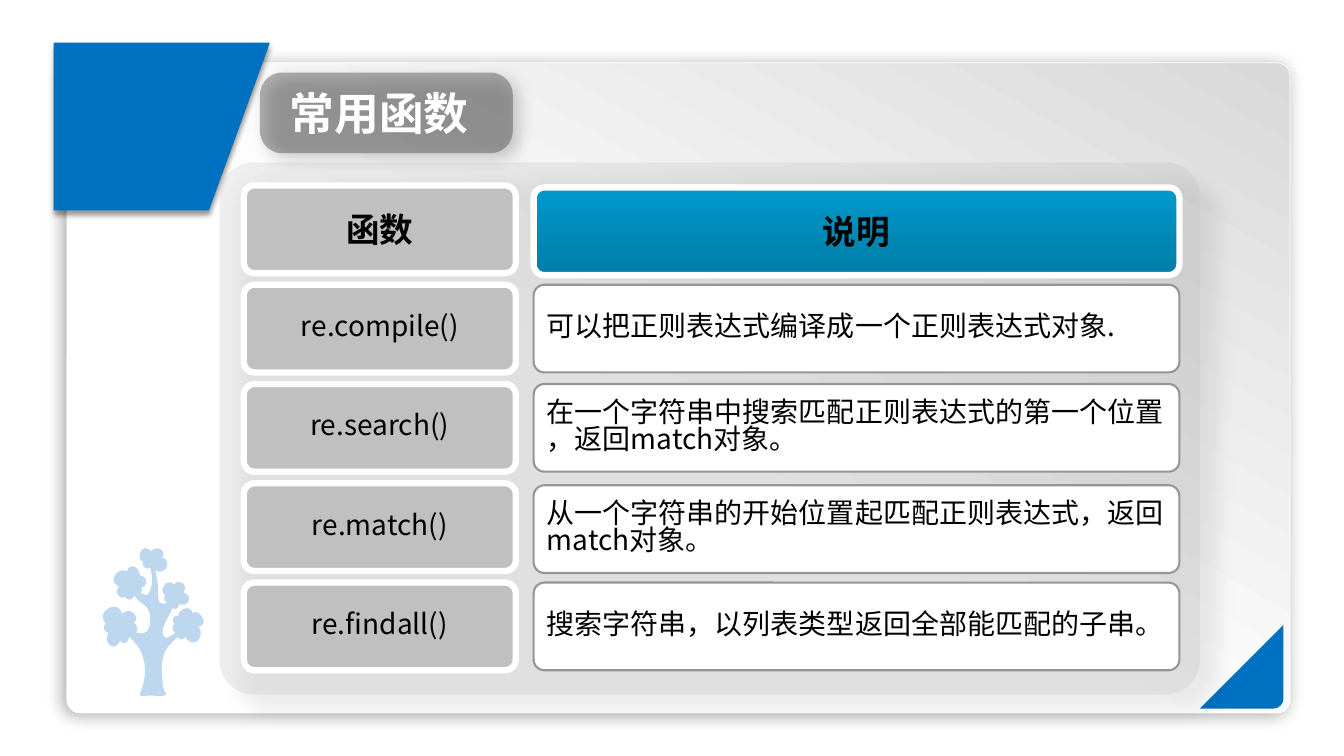
import pptx
import pptx.dml.color
import pptx.enum.shapes
import pptx.enum.text
import pptx.oxml
import pptx.oxml.ns
import pptx.util

RGBColor = pptx.dml.color.RGBColor
Shapes = pptx.enum.shapes.MSO_SHAPE
Anchor = pptx.enum.text.MSO_ANCHOR
Align = pptx.enum.text.PP_ALIGN

WHITE = RGBColor(0xFF, 0xFF, 0xFF)
BLACK = RGBColor(0x00, 0x00, 0x00)
PANEL_GRAY = RGBColor(0xD9, 0xD9, 0xD9)
CELL_GRAY = RGBColor(0xC0, 0xC0, 0xC0)
BORDER_GRAY = RGBColor(0x96, 0x96, 0x96)
TITLE_GRAY = RGBColor(0x40, 0x40, 0x40)
BLUE = RGBColor(0x00, 0x70, 0xC0)
HEADER_TOP = RGBColor(0x00, 0x99, 0xCC)
HEADER_BOTTOM = RGBColor(0x00, 0x7D, 0xA7)
TREE_BLUE = RGBColor(0xBD, 0xD7, 0xEE)

GRID_COLUMNS, GRID_ROWS = 1334, 750
CELL_ROUNDING = 0.123
FIRST_ROW, ROW_STEP, ROW_HEIGHT = 184, 98.5, 87
NAME_COLUMN, NAME_WIDTH = 242, 270
NOTE_COLUMN, NOTE_WIDTH = 529.7, 641

FUNCTIONS = [
    (1, "re.compile()", ["可以把正则表达式编译成一个正则表达式对象."]),
    (2, "re.search()", ["在一个字符串中搜索匹配正则表达式的第一个位置", "，返回match对象。"]),
    (3.02, "re.match()", ["从一个字符串的开始位置起匹配正则表达式，返回", "match对象。"]),
    (4, "re.findall()", ["搜索字符串，以列表类型返回全部能匹配的子串。"]),
]

LEFT_CROWN = [
    (133, 618), (136, 615), (136, 611), (132, 608), (129, 605), (124, 606), (121, 609),
    (120, 602), (113, 600), (107, 604), (101, 607), (101, 614), (105, 619),
    (101, 621), (103, 627), (108, 628), (106, 631), (105, 636), (108, 639),
    (112, 644), (117, 641), (119, 636), (121, 638), (123, 639), (126, 637),
    (128, 635), (129, 632), (128, 629), (131, 631), (134, 630), (135, 628),
    (138, 624), (136, 620), (133, 618)]
UPPER_LEFT_CROWN = [
    (139, 571), (138, 567), (137, 563), (133, 562), (130, 561), (126, 564), (126, 567),
    (122, 564), (116, 567), (114, 571), (111, 575), (114, 581), (118, 582),
    (113, 586), (118, 596), (124, 592), (127, 598), (134, 594), (134, 589),
    (136, 590), (139, 591), (140, 588), (142, 586), (141, 584), (140, 583),
    (143, 583), (145, 581), (145, 578), (146, 574), (142, 571), (139, 571)]
TOP_CROWN = [
    (165, 564), (167, 559), (166, 554), (161, 553), (166, 546), (155, 540), (150, 547),
    (147, 543), (141, 542), (139, 548), (138, 551), (138, 557), (142, 557),
    (139, 562), (147, 567), (150, 562), (153, 568), (161, 569), (165, 564)]
UPPER_RIGHT_CROWN = [
    (178, 599), (181, 601), (185, 600), (187, 597), (189, 592), (186, 589), (182, 588),
    (184, 584), (185, 580), (180, 578), (178, 577), (174, 577), (173, 580),
    (165, 572), (157, 587), (164, 590), (160, 594), (166, 600), (169, 598),
    (169, 600), (170, 603), (173, 604), (176, 605), (177, 602), (178, 599)]
RIGHT_CROWN = [
    (201, 613), (199, 608), (195, 606), (191, 608), (189, 599), (176, 605), (177, 611),
    (173, 610), (169, 615), (173, 619), (169, 623), (172, 629), (177, 628),
    (176, 630), (176, 632), (178, 634), (180, 635), (182, 634), (184, 632),
    (186, 637), (194, 640), (197, 635), (200, 631), (200, 625), (197, 622),
    (201, 621), (204, 617), (201, 613)]
TRUNK = [
    (186, 613), (186, 612), (186, 612), (185, 613), (182, 621), (177, 626), (171, 630),
    (168, 632), (163, 635), (162, 630), (161, 628), (161, 625), (162, 623),
    (165, 611), (177, 602), (172, 588), (171, 587), (170, 588), (170, 589),
    (170, 593), (167, 600), (161, 599), (156, 599), (157, 590), (157, 587),
    (157, 581), (156, 575), (155, 570), (155, 568), (154, 566), (153, 564),
    (152, 562), (151, 560), (149, 558), (148, 557), (147, 558), (147, 559),
    (150, 563), (150, 568), (151, 573), (151, 577), (151, 581), (149, 586),
    (146, 597), (134, 584), (133, 578), (132, 577), (131, 577), (131, 577),
    (129, 583), (131, 589), (135, 593), (137, 596), (140, 598), (143, 600),
    (147, 603), (148, 606), (149, 611), (149, 615), (149, 619), (148, 623),
    (146, 628), (142, 629), (137, 628), (134, 627), (131, 626), (129, 625),
    (126, 624), (121, 623), (120, 620), (119, 619), (119, 620), (119, 621),
    (121, 626), (125, 629), (130, 633), (134, 638), (139, 643), (141, 649),
    (146, 662), (144, 677), (139, 688), (139, 689), (139, 690), (139, 690),
    (141, 691), (146, 690), (148, 690), (153, 690), (159, 691), (164, 690),
    (164, 690), (165, 689), (165, 688), (161, 685), (162, 678), (161, 673),
    (160, 664), (160, 655), (164, 646), (167, 640), (173, 635), (179, 630),
    (183, 626), (188, 620), (186, 613)]
TREE = [LEFT_CROWN, UPPER_LEFT_CROWN, TOP_CROWN, TRUNK, UPPER_RIGHT_CROWN, RIGHT_CROWN]


def bend(shape, first, last):
    namespace = pptx.oxml.ns.nsdecls("a")
    lines = list(shape._element.iter(pptx.oxml.ns.qn("a:lnTo")))[first:last]
    for index in range(0, len(lines) - 2, 3):
        curve = pptx.oxml.parse_xml(f"<a:cubicBezTo {namespace}/>")
        lines[index].addprevious(curve)
        for line in lines[index:index + 3]:
            curve.append(line[0])
            line.getparent().remove(line)


def write(shape, lines, *, font, size, color=BLACK, bold=False, align=Align.LEFT,
          spacing=None, anchor=Anchor.MIDDLE):
    frame = shape.text_frame
    frame.word_wrap = False
    frame.vertical_anchor = anchor
    for index, line in enumerate(lines):
        paragraph = frame.add_paragraph() if index else frame.paragraphs[0]
        paragraph.alignment = align
        if spacing:
            paragraph.line_spacing = pptx.util.Pt(spacing)
        run = paragraph.add_run()
        run.text = line
        run.font.size = pptx.util.Pt(size)
        run.font.bold = bold
        run.font.color.rgb = color
        run.font.name = font
        east_asian = pptx.oxml.parse_xml(f'<a:ea {pptx.oxml.ns.nsdecls("a")} typeface="{font}"/>')
        run.font._element.append(east_asian)


class SlideBuilder:
    """Draws elements on a slide in one style, placed by grid columns and rows."""

    def __init__(self, presentation, font):
        self.slide = presentation.slides.add_slide(presentation.slide_layouts[6])
        self.shapes = self.slide.shapes
        self.font = font
        self.column = presentation.slide_width / GRID_COLUMNS
        self.row = presentation.slide_height / GRID_ROWS

    def place(self, left, top, width, height):
        return [round(value) for value in (left * self.column, top * self.row,
                                           width * self.column, height * self.row)]

    def paint(self, shape, fill, line=None, opacity=None, shadow=None):
        shape.shadow.inherit = False
        if isinstance(fill, RGBColor):
            shape.fill.solid()
            shape.fill.fore_color.rgb = fill
        else:
            angle, *stops = fill
            shape.fill.gradient()
            shape.fill.gradient_angle = angle
            for stop, (position, color) in zip(shape.fill.gradient_stops, stops):
                stop.position = position
                stop.color.rgb = color
        if line:
            shape.line.color.rgb = line[0]
            shape.line.width = pptx.util.Pt(line[1])
        else:
            shape.line.fill.background()
        properties = shape._element.spPr
        namespace = pptx.oxml.ns.nsdecls("a")
        if opacity:
            color = properties.find(pptx.oxml.ns.qn("a:solidFill"))[0]
            color.append(pptx.oxml.parse_xml(f'<a:alpha {namespace} val="{opacity * 1000}"/>'))
        if shadow:
            alpha, blur, distance, angle = shadow
            properties.find(pptx.oxml.ns.qn("a:effectLst")).append(pptx.oxml.parse_xml(
                f'<a:outerShdw {namespace} blurRad="{blur * 12700}" dist="{distance * 12700}" '
                f'dir="{angle * 60000}" algn="ctr" rotWithShape="0"><a:srgbClr val="000000">'
                f'<a:alpha val="{alpha * 1000}"/></a:srgbClr></a:outerShdw>'))
        return shape

    def rounded(self, left, top, width, height, rounding, fill, **style):
        shape = self.shapes.add_shape(Shapes.ROUNDED_RECTANGLE, *self.place(left, top, width, height))
        shape.adjustments[0] = rounding
        return self.paint(shape, fill, **style)

    def outline(self, points, fill, curved=(0, 0), **style):
        scaled = [(x * self.column, y * self.row) for x, y in points]
        builder = self.shapes.build_freeform(*scaled[0])
        builder.add_line_segments(scaled[1:], close=True)
        shape = builder.convert_to_shape()
        bend(shape, *curved)
        return self.paint(shape, fill, **style)

    def cell(self, left, width, row, lines, fill, line, **text_format):
        shape = self.rounded(left, FIRST_ROW + row * ROW_STEP, width, ROW_HEIGHT,
                             CELL_ROUNDING, fill, line=line)
        write(shape, lines, font=self.font, **text_format)

    def title(self, left, top, width, height, text):
        box = self.shapes.add_textbox(*self.place(left, top, width, height))
        write(box, [text], font=self.font, size=32, color=WHITE, bold=True, anchor=Anchor.TOP)
        box.text_frame.auto_size = pptx.enum.text.MSO_AUTO_SIZE.SHAPE_TO_FIT_TEXT


def main():
    presentation = pptx.Presentation()
    presentation.slide_width = pptx.util.Inches(13.34)
    presentation.slide_height = pptx.util.Inches(7.5)
    builder = SlideBuilder(presentation, "Noto Sans CJK SC")

    builder.rounded(66.4, 62.3, 1214, 645, 0.02, (60, (0.45, WHITE), (1, PANEL_GRAY)),
                    line=(WHITE, 0.5), shadow=(34, 12, 3, 135))
    corner = [(1274, 620), (1274, 693), (1274, 698), (1270, 703), (1264, 703), (1191, 703)]
    builder.outline(corner, BLUE, curved=(1, 4))
    builder.outline([(267, 43), (54, 43), (54, 208), (207, 208)], BLUE,
                    line=(BLUE, 1), shadow=(40, 4, 3, 90))
    builder.rounded(218, 161, 973, 528, 0.064, CELL_GRAY, opacity=25, shadow=(30, 15, 18, 45))
    for part in TREE:
        builder.outline(part, TREE_BLUE, curved=(0, len(part)))

    white_edge, gray_edge = (WHITE, 4.5), (BORDER_GRAY, 1.5)
    header = dict(size=24, bold=True, align=Align.CENTER)
    body = dict(size=20, spacing=19.5)
    builder.cell(NOTE_COLUMN, NOTE_WIDTH, 0.02, ["说明"],
                 (270, (0, HEADER_TOP), (1, HEADER_BOTTOM)), white_edge, **header)
    builder.cell(NAME_COLUMN, NAME_WIDTH, 0, ["函数"], CELL_GRAY, white_edge, **header)
    for row, (note_row, name, note) in enumerate(FUNCTIONS, start=1):
        builder.cell(NAME_COLUMN, NAME_WIDTH, row, [name], CELL_GRAY, white_edge,
                     align=Align.CENTER, **body)
        builder.cell(NOTE_COLUMN, NOTE_WIDTH, note_row, note, WHITE, gray_edge, **body)

    builder.rounded(258, 72, 251, 80, 0.278, TITLE_GRAY, opacity=40, shadow=(50, 12, 6, 45))
    builder.title(277.5, 80.5, 200, 64, "常用函数")
    presentation.save("out.pptx")


if __name__ == "__main__":
    main()
